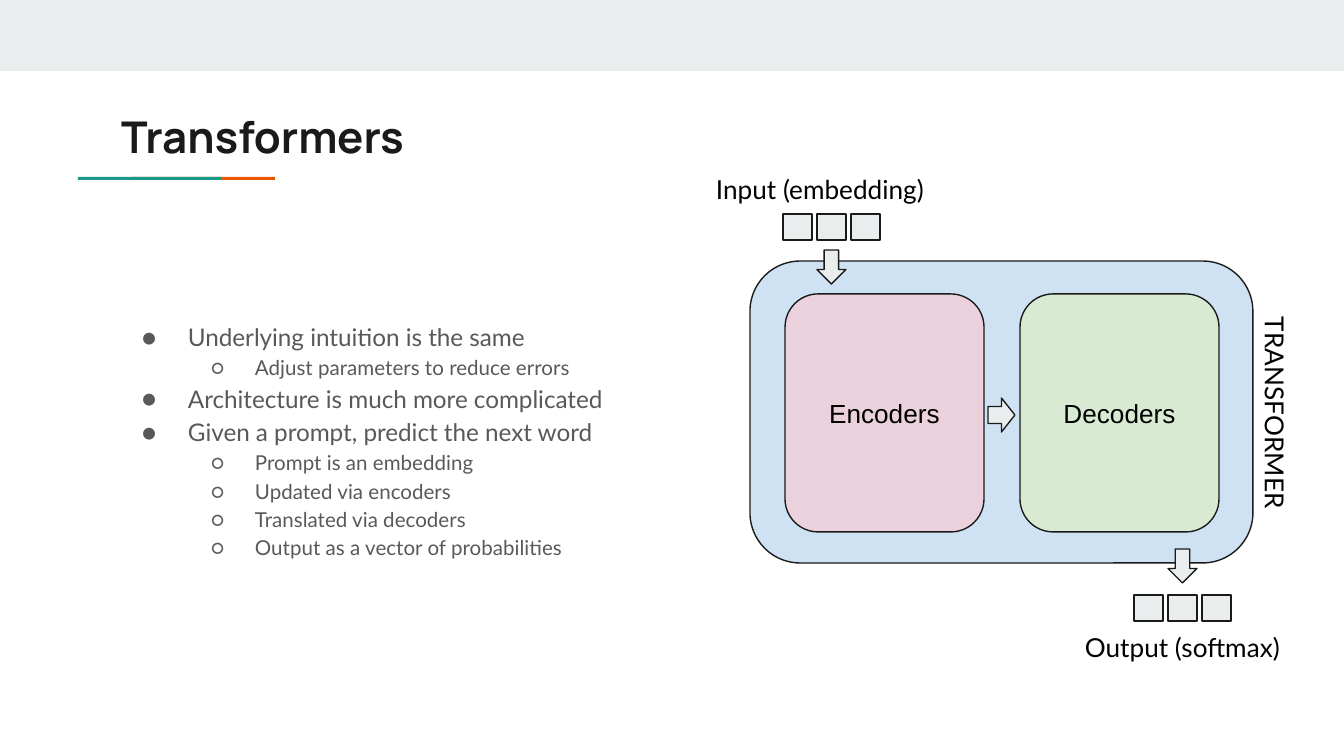
import pptx
import pptx.dml.color
import pptx.enum.shapes
import pptx.enum.text
import pptx.oxml.ns
import pptx.util
from lxml import etree

PX = 914400 / 134.4
COLORS = {
    "band": "E9EDEE", "teal": "1A9988", "orange": "EB5600", "ink": "1A1A1A",
    "gray": "595959", "black": "000000", "blue": "CFE2F3", "pink": "EAD1DC",
    "green": "D9EAD3",
}
SHAPE = pptx.enum.shapes.MSO_SHAPE
ALIGN = pptx.enum.text.PP_ALIGN
ANCHOR = pptx.enum.text.MSO_ANCHOR

TITLE = {"name": "Manrope", "size": 23.4, "bold": True}
LABEL = {"name": "Lato", "size": 14}
BLOCK = {"name": "Arial", "size": 14}
# Per level: bullet, font size, left margin and hanging indent in px
LEVELS = [("●", 13, 67, -46), ("○", 11, 134, -44)]

BULLETS = [
    (0, "Underlying intuition is the same"),
    (1, "Adjust parameters to reduce errors"),
    (0, "Architecture is much more complicated"),
    (0, "Given a prompt, predict the next word"),
    (1, "Prompt is an embedding"),
    (1, "Updated via encoders"),
    (1, "Translated via decoders"),
    (1, "Output as a vector of probabilities"),
]


def px(n):
    return pptx.util.Emu(round(n * PX))


def rgb(name):
    return pptx.dml.color.RGBColor.from_string(COLORS[name])


class SlideBuilder:
    def __init__(self, prs):
        self.s = prs.slides.add_slide(prs.slide_layouts[5])

    def format_frame(self, tf, anchor=ANCHOR.TOP):
        values = {"word_wrap": True, "vertical_anchor": anchor,
                  "auto_size": pptx.enum.text.MSO_AUTO_SIZE.NONE}
        for side in ("left", "top", "right", "bottom"):
            values["margin_" + side] = px(13)
        for key, value in values.items():
            setattr(tf, key, value)

    def add_text(self, p, text, style, color, align=ALIGN.LEFT):
        p.alignment = align
        r = p.add_run()
        r.text = text
        for key, value in style.items():
            setattr(r.font, key, pptx.util.Pt(value) if key == "size" else value)
        r.font.color.rgb = rgb(color)

    def title(self, text, x, y, w, h):
        sp = self.s.shapes.title
        sp.left, sp.top, sp.width, sp.height = map(px, (x, y, w, h))
        self.format_frame(sp.text_frame, ANCHOR.MIDDLE)
        self.add_text(sp.text_frame.paragraphs[0], text, TITLE, "ink")

    def shape(self, kind, x, y, w, h, fill, outlined=True, text=None):
        sp = self.s.shapes.add_shape(kind, *map(px, (x, y, w, h)))
        sp.shadow.inherit = False
        sp.fill.solid()
        sp.fill.fore_color.rgb = rgb(fill)
        if outlined:
            sp.line.color.rgb = rgb("ink")
            sp.line.width = pptx.util.Pt(0.75)
        else:
            sp.line.fill.background()
        if text:
            self.format_frame(sp.text_frame, ANCHOR.MIDDLE)
            self.add_text(sp.text_frame.paragraphs[0], text, BLOCK, "black", ALIGN.CENTER)

    def cells(self, x, y):
        """Draw a vector as a row of three cells."""
        for i in range(3):
            self.shape(SHAPE.RECTANGLE, x + i * 34, y, 29, 26, "band")

    def label(self, text, x, y, w, h, align=ALIGN.LEFT, rotation=0):
        sp = self.s.shapes.add_textbox(*map(px, (x, y, w, h)))
        sp.rotation = rotation
        self.format_frame(sp.text_frame)
        self.add_text(sp.text_frame.paragraphs[0], text, LABEL, "black", align)

    def bullets(self, items, x, y, w, h):
        qn = pptx.oxml.ns.qn
        tf = self.s.shapes.add_textbox(*map(px, (x, y, w, h))).text_frame
        self.format_frame(tf)
        for i, (level, text) in enumerate(items):
            p = tf.add_paragraph() if i else tf.paragraphs[0]
            char, size, margin, indent = LEVELS[level]
            p.level = level
            p.line_spacing = 1.15
            pPr = p._p.get_or_add_pPr()
            pPr.set("marL", str(px(margin)))
            pPr.set("indent", str(px(indent)))
            color = etree.SubElement(pPr, qn("a:buClr"))
            etree.SubElement(color, qn("a:srgbClr"), val=COLORS["gray"])
            etree.SubElement(pPr, qn("a:buFont"), typeface="Lato")
            etree.SubElement(pPr, qn("a:buChar"), char=char)
            self.add_text(p, text, {"name": "Lato", "size": size}, "gray")


def main():
    prs = pptx.Presentation()
    prs.slide_width, prs.slide_height = px(1344), px(756)
    b = SlideBuilder(prs)

    b.shape(SHAPE.RECTANGLE, 0, 0, 1344, 71, "band", outlined=False)
    for x, color in ((132, "orange"), (78, "teal")):
        b.shape(SHAPE.RECTANGLE, x, 177, 143, 3, color, outlined=False)
    b.title("Transformers", 108, 97, 1130, 79)
    b.bullets(BULLETS, 108, 305, 1130, 332)

    b.shape(SHAPE.ROUNDED_RECTANGLE, 750, 261, 503, 302, "blue")
    for x, fill, text in ((785, "pink", "Encoders"), (1020, "green", "Decoders")):
        b.shape(SHAPE.ROUNDED_RECTANGLE, x, 294, 199, 238, fill, text=text)

    b.cells(783, 214)
    b.label("Input (embedding)", 703, 160, 249, 59)
    b.shape(SHAPE.DOWN_ARROW, 817, 250, 29, 34, "band")
    b.shape(SHAPE.RIGHT_ARROW, 988, 398, 27, 34, "band")
    b.shape(SHAPE.DOWN_ARROW, 1168, 549, 29, 34, "band")
    b.cells(1134, 595)
    b.label("Output (softmax)", 1058, 618, 249, 59, align=ALIGN.CENTER)
    b.label("TRANSFORMER", 1140, 409, 269, 59, rotation=90)

    prs.save("out.pptx")


if __name__ == "__main__":
    main()
